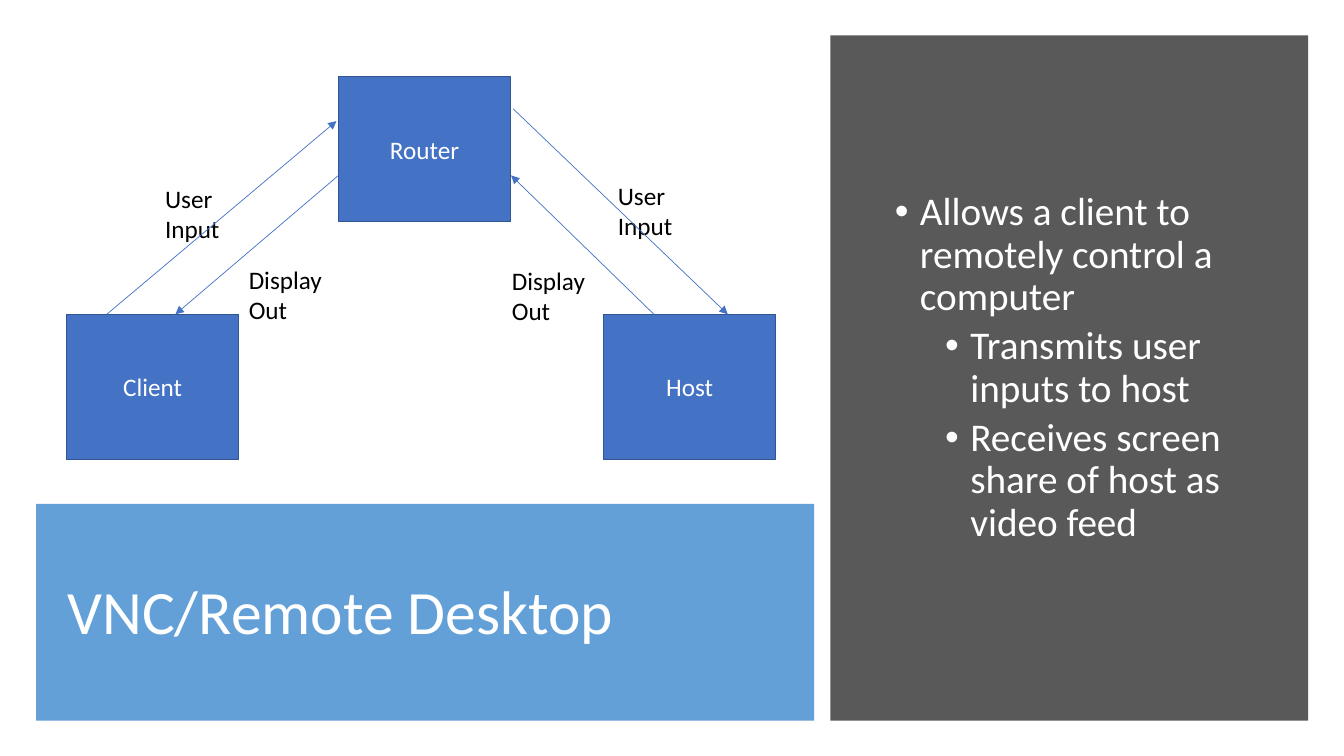
from lxml.etree import SubElement
from pptx import Presentation
from pptx.dml.color import RGBColor
from pptx.enum.shapes import MSO_CONNECTOR, MSO_SHAPE
from pptx.enum.text import MSO_ANCHOR, PP_ALIGN
from pptx.oxml.ns import qn
from pptx.util import Cm, Pt

FONT = "Calibri"
WHITE = "FFFFFF"
BLUE = "4472C4"


def color(code):
    """Turn a hex string into a color."""
    return RGBColor.from_string(code)


def add_run(para, text, size, code):
    """Add one styled run to a paragraph."""
    run = para.add_run()
    run.text = text
    run.font.name = FONT
    run.font.size = Pt(size)
    run.font.color.rgb = color(code)


def add_rect(slide, box, fill, edge=None):
    """Add a filled rectangle with an optional outline."""
    rect = slide.shapes.add_shape(MSO_SHAPE.RECTANGLE, *map(Cm, box))
    rect.shadow.inherit = False
    rect.fill.solid()
    rect.fill.fore_color.rgb = color(fill)
    if edge:
        rect.line.color.rgb = color(edge)
        rect.line.width = Pt(1)
    else:
        rect.line.fill.background()
    return rect


def add_text(slide, box, anchor):
    """Add a wrapping text box and return its frame."""
    frame = slide.shapes.add_textbox(*map(Cm, box)).text_frame
    frame.word_wrap = True
    frame.vertical_anchor = anchor
    return frame


def add_node(slide, box, name):
    """Add a named machine."""
    frame = add_rect(slide, box, BLUE, "325491").text_frame
    frame.vertical_anchor = MSO_ANCHOR.MIDDLE
    para = frame.paragraphs[0]
    para.alignment = PP_ALIGN.CENTER
    add_run(para, name, 18, WHITE)


def add_arrow(slide, start, end):
    """Add a thin arrow between two points."""
    arrow = slide.shapes.add_connector(
        MSO_CONNECTOR.STRAIGHT, *map(Cm, start + end))
    arrow.line.color.rgb = color(BLUE)
    arrow.line.width = Pt(0.5)
    SubElement(arrow.line._get_or_add_ln(), qn("a:tailEnd"), type="triangle")
    SubElement(arrow._element.spPr, qn("a:effectLst"))


def add_title(slide, box, text):
    """Add the title band."""
    left, top, width, height = box
    band = add_rect(slide, box, "5B9BD5")
    tint = band.fill._xPr.find(qn("a:solidFill"))[0]
    SubElement(tint, qn("a:alpha"), val="95000")
    inner = (left + 0.54, top + 0.53, width - 1.3, height - 0.94)
    para = add_text(slide, inner, MSO_ANCHOR.MIDDLE).paragraphs[0]
    para.line_spacing = 0.9
    add_run(para, text, 44, WHITE)


def add_panel(slide, box, items):
    """Add the side panel with its bullets, given as level and text."""
    left, top, width, height = box
    add_rect(slide, box, "595959")
    inner = (left + 1.37, top + 1.65, width - 2.51, height - 3.78)
    frame = add_text(slide, inner, MSO_ANCHOR.MIDDLE)
    for pos, (level, text) in enumerate(items):
        para = frame.add_paragraph() if pos else frame.paragraphs[0]
        para.level = level
        para.line_spacing = 0.9
        if pos:
            para.space_before = Pt(5)
        props = para._p.get_or_add_pPr()
        props.set("marL", str(Cm(0.635 + 1.27 * level)))
        props.set("indent", str(-Cm(0.635)))
        SubElement(props, qn("a:buFont"), typeface="Arial")
        SubElement(props, qn("a:buChar"), char="•")
        add_run(para, text, 28, WHITE)


def add_map(slide, box):
    """Add the machines, their labels and the arrows."""
    left, top, width, height = box
    wide, high = 4.34, 3.66
    low = height - high
    nodes = [("Host", width - wide, low), ("Client", 0, low),
             ("Router", 6.85, 0)]
    labels = [("User Input", 2.23, 2.57, 2.31),
              ("User Input", 13.64, 2.49, 2.31),
              ("Display Out", 4.34, 4.6, 2.46),
              ("Display Out", 10.97, 4.62, 2.46)]
    arrows = [(1.01, low, 6.8, 1.12), (6.85, 2.49, 2.74, low),
              (11.25, 0.81, 16.66, low), (14.8, low, 11.2, 2.49)]
    for name, x, y in nodes:
        add_node(slide, (left + x, top + y, wide, high), name)
    for text, x, y, span in labels:
        frame = add_text(slide, (left + x, top + y, span, 0.86),
                         MSO_ANCHOR.TOP)
        add_run(frame.paragraphs[0], text, 18, "000000")
    for x1, y1, x2, y2 in arrows:
        add_arrow(slide, (left + x1, top + y1), (left + x2, top + y2))


def main():
    """Build and save the slide."""
    deck = Presentation()
    deck.slide_width, deck.slide_height = Cm(33.87), Cm(19.05)
    slide = deck.slides.add_slide(deck.slide_layouts[6])
    add_title(slide, (0.91, 12.7, 19.61, 5.46), "VNC/Remote Desktop")
    add_panel(slide, (20.93, 0.89, 12.04, 17.27), [
        (0, "Allows a client to remotely control a computer"),
        (1, "Transmits user inputs to host"),
        (1, "Receives screen share of host as video feed"),
    ])
    add_map(slide, (1.68, 1.93, 17.87, 9.65))
    deck.save("out.pptx")


if __name__ == "__main__":
    main()
